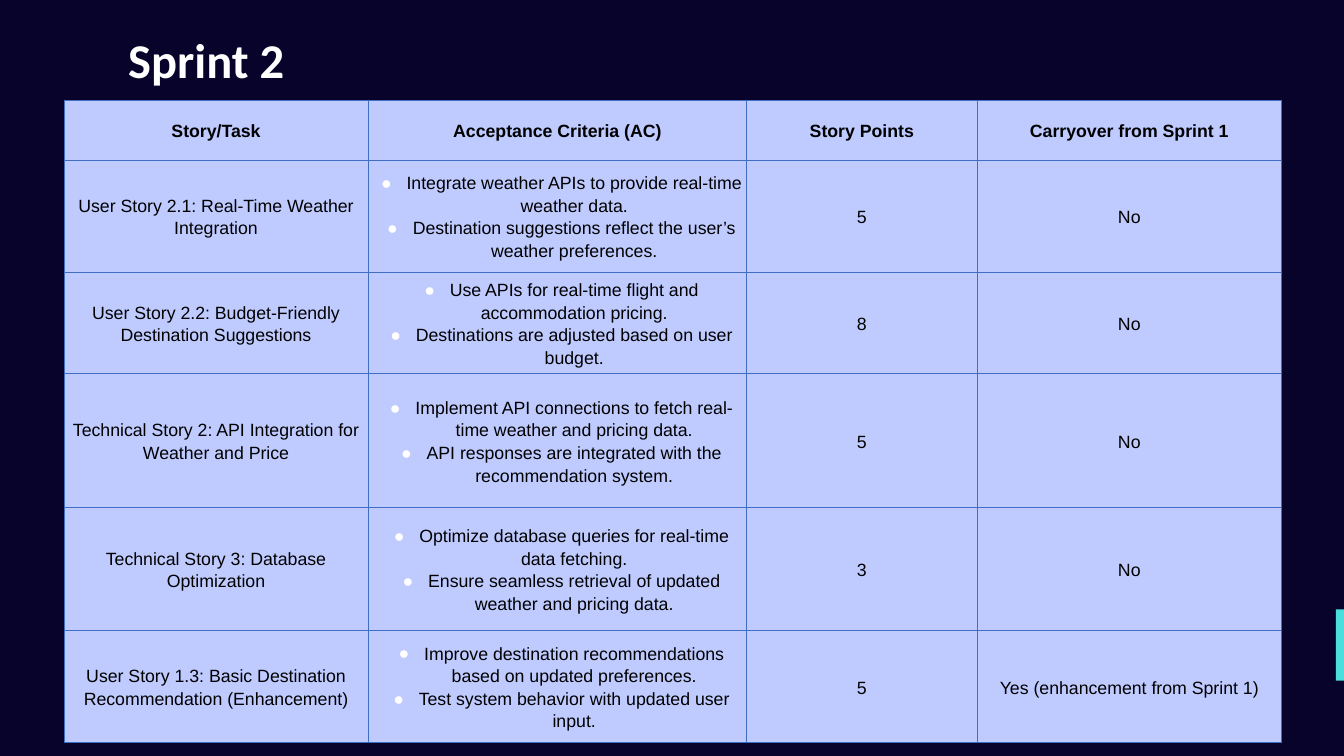
from dataclasses import dataclass

from lxml import etree
from pptx import Presentation
from pptx.dml.color import RGBColor
from pptx.enum.shapes import MSO_SHAPE
from pptx.enum.text import MSO_ANCHOR, PP_ALIGN
from pptx.oxml.ns import qn
from pptx.util import Inches, Pt

CENTER = PP_ALIGN.CENTER
MIDDLE = MSO_ANCHOR.MIDDLE
TOP = MSO_ANCHOR.TOP
RECTANGLE = MSO_SHAPE.RECTANGLE


@dataclass(frozen=True)
class Theme:
    background: str = "07032B"
    accent: str = "4ADEDD"
    cell: str = "BFCBFF"
    border: str = "3F6FC3"
    text: str = "000000"
    light: str = "FFFFFF"
    title_font: str = "Calibri"
    body_font: str = "Arial"
    title_size: int = 52
    body_size: int = 19


theme = Theme()


def style_run(run, font, size, color, bold):
    run.font.name = font
    run.font.size = Pt(size)
    run.font.bold = bold
    run.font.color.rgb = RGBColor.from_string(color)


def add_bullet(paragraph):
    properties = paragraph._p.get_or_add_pPr()
    properties.set("marL", str(Inches(0.5)))
    properties.set("indent", str(Inches(-0.38)))
    color = etree.SubElement(properties, qn("a:buClr"))
    etree.SubElement(color, qn("a:srgbClr"), val=theme.light)
    etree.SubElement(properties, qn("a:buFont"), typeface=theme.body_font)
    etree.SubElement(properties, qn("a:buChar"), char="●")


header = ["Story/Task", "Acceptance Criteria (AC)", "Story Points", "Carryover from Sprint 1"]
stories = [
    ["User Story 2.1: Real-Time Weather Integration",
     "Integrate weather APIs to provide real-time weather data.\n"
     "Destination suggestions reflect the user’s weather preferences.",
     "5", "No"],
    ["User Story 2.2: Budget-Friendly Destination Suggestions",
     "Use APIs for real-time flight and accommodation pricing.\n"
     "Destinations are adjusted based on user budget.",
     "8", "No"],
    ["Technical Story 2: API Integration for Weather and Price",
     "Implement API connections to fetch real-time weather and pricing data.\n"
     "API responses are integrated with the recommendation system.",
     "5", "No"],
    ["Technical Story 3: Database Optimization",
     "Optimize database queries for real-time data fetching.\n"
     "Ensure seamless retrieval of updated weather and pricing data.",
     "3", "No"],
    ["User Story 1.3: Basic Destination Recommendation (Enhancement)",
     "Improve destination recommendations based on updated preferences.\n"
     "Test system behavior with updated user input.",
     "5", "Yes (enhancement from Sprint 1)"],
]
rows = [header] + stories
column_widths = [4.53, 5.63, 3.43, 4.53]
row_heights = [0.89, 1.67, 1.51, 1.99, 1.83, 1.67]
criteria_column = 1
wide_margin_cells = [(0, 3), (5, 3)]

prs = Presentation()
prs.slide_width = Inches(20)
prs.slide_height = Inches(11.25)
slide = prs.slides.add_slide(prs.slide_layouts[6])
slide.background.fill.solid()
slide.background.fill.fore_color.rgb = RGBColor.from_string(theme.background)

edge_accent = slide.shapes.add_shape(RECTANGLE, Inches(19.88), Inches(9.07), Inches(0.12), Inches(1.06))
edge_accent.shadow.inherit = False
edge_accent.fill.solid()
edge_accent.fill.fore_color.rgb = RGBColor.from_string(theme.accent)
edge_accent.line.fill.background()

title = slide.shapes.add_textbox(Inches(1.81), Inches(0.34), Inches(10.38), Inches(1.37)).text_frame
title.word_wrap = True
title.vertical_anchor = TOP
title.margin_left = title.margin_right = title.margin_top = title.margin_bottom = Inches(0.1)
title.text = "Sprint 2"
style_run(title.paragraphs[0].runs[0], theme.title_font, theme.title_size, theme.light, True)

sprint_table = slide.shapes.add_table(
    len(rows), len(header), Inches(0.95), Inches(1.49),
    Inches(sum(column_widths)), Inches(sum(row_heights))).table
sprint_table.first_row = False
sprint_table.horz_banding = False
for column, width in zip(sprint_table.columns, column_widths):
    column.width = Inches(width)
for row, height in zip(sprint_table.rows, row_heights):
    row.height = Inches(height)

for r, texts in enumerate(rows):
    for c, text in enumerate(texts):
        cell = sprint_table.cell(r, c)
        cell.text_frame.text = text
        cell.vertical_anchor = MIDDLE
        cell.margin_left = cell.margin_right = Inches(0.1 if (r, c) in wide_margin_cells else 0.03)
        cell.margin_top = cell.margin_bottom = Inches(0.02)
        cell_properties = cell._tc.get_or_add_tcPr()
        for side in ("a:lnL", "a:lnR", "a:lnT", "a:lnB"):
            border = etree.SubElement(cell_properties, qn(side), w=str(Pt(0.75)))
            border_fill = etree.SubElement(border, qn("a:solidFill"))
            etree.SubElement(border_fill, qn("a:srgbClr"), val=theme.border)
        cell.fill.solid()
        cell.fill.fore_color.rgb = RGBColor.from_string(theme.cell)
        for paragraph in cell.text_frame.paragraphs:
            paragraph.alignment = CENTER
            paragraph.line_spacing = 1.15
            if r > 0 and c == criteria_column:
                add_bullet(paragraph)
            style_run(paragraph.runs[0], theme.body_font, theme.body_size, theme.text, r == 0)

prs.save("out.pptx")
